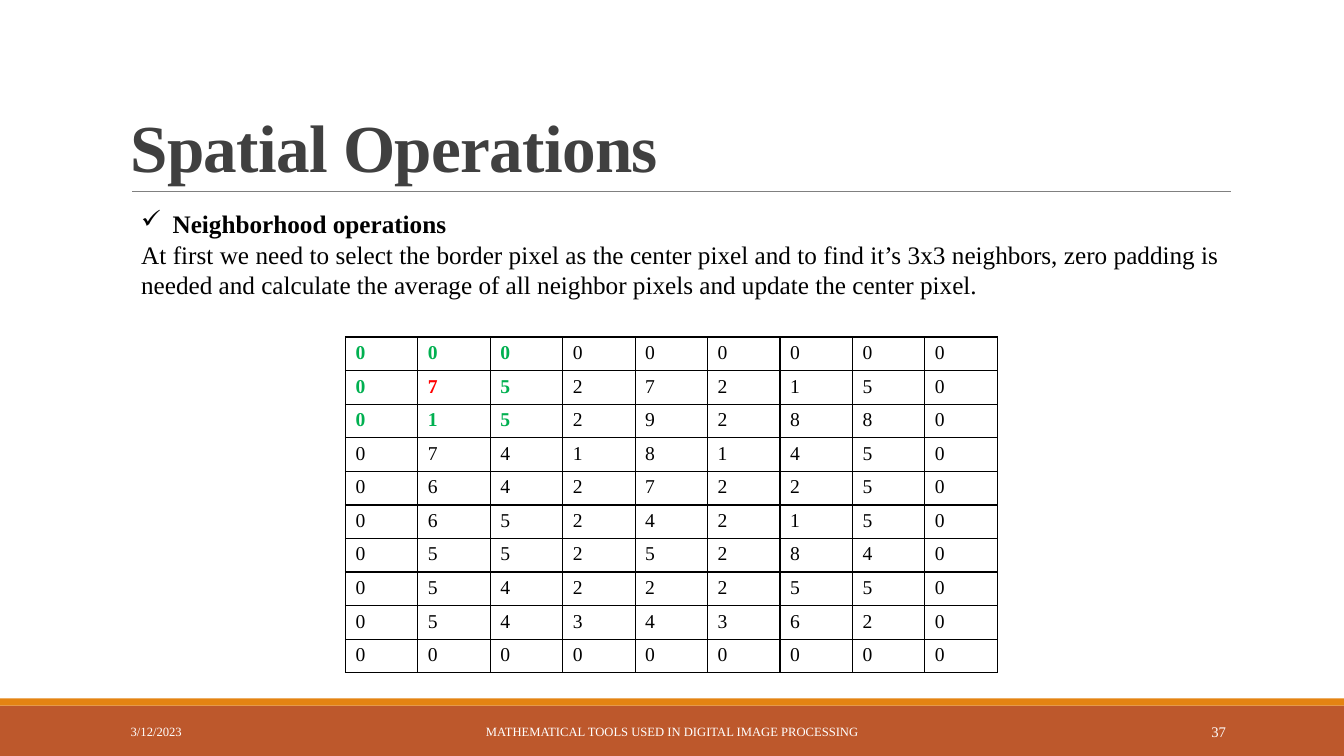
from dataclasses import dataclass

from lxml import etree
from pptx import Presentation
from pptx import util as u
from pptx.dml.color import RGBColor
from pptx.enum import shapes, text
from pptx.oxml import ns

PX = 9525  # EMU in one px, 96 px to the inch


@dataclass(frozen=True)
class Theme:
    font: str = "Times New Roman"
    paper: str = "FFFFFF"
    ink: str = "000000"
    heading: str = "404040"
    rule: str = "808080"
    band: str = "BD582C"
    stripe: str = "E48312"
    neighbor: str = "00B050"
    center: str = "FF0000"
    title_size: float = 48
    body_size: float = 18
    cell_size: float = 14
    footer_size: float = 9
    number_size: float = 10.5


THEME = Theme()

PIXELS = ["5271527"[::-1], "1529288", "7418145", "6427225",
          "6524215", "5525284", "5422255", "5434362"]
PIXELS[0] = "7527215"


def px(*lengths):
    return [u.Emu(length * PX) for length in lengths]


def add_child(parent, tag, **attributes):
    return etree.SubElement(parent, ns.qn(tag), attributes)


def add_span(para, words, size, color, **formats):
    span = para.add_run()
    span.text = words
    formats = {"name": THEME.font, "size": u.Pt(size), "bold": False, **formats}
    for name, value in formats.items():
        setattr(span.font, name, value)
    span.font.color.rgb = RGBColor.from_string(color)
    return span


def add_text_box(page, box, anchor):
    frame = page.shapes.add_textbox(*px(*box)).text_frame
    formats = {"word_wrap": True, "vertical_anchor": anchor,
               "auto_size": text.MSO_AUTO_SIZE.NONE}
    for name, value in formats.items():
        setattr(frame, name, value)
    return frame


def add_bar(page, box, color):
    bar = page.shapes.add_shape(shapes.MSO_SHAPE.RECTANGLE, *px(*box))
    bar.shadow.inherit = False
    bar.fill.solid()
    bar.fill.fore_color.rgb = RGBColor.from_string(color)
    bar.line.fill.background()


def add_title(page, box):
    left, top, width, height = box
    frame = add_text_box(page, box, text.MSO_ANCHOR.BOTTOM)
    para = frame.paragraphs[0]
    para.line_spacing = 0.85
    span = add_span(para, "Spatial Operations", THEME.title_size, THEME.heading, bold=True)
    span.font._element.set("spc", "-50")

    # Rule under the title
    y = top + height
    rule = page.shapes.add_connector(
        shapes.MSO_CONNECTOR.STRAIGHT, *px(left + 11, y, left + width + 1, y))
    rule.line.color.rgb = RGBColor.from_string(THEME.rule)
    rule.line.width = u.Pt(0.5)
    add_child(rule._element.spPr, "a:effectLst")


def add_body(page, box):
    frame = add_text_box(page, box, text.MSO_ANCHOR.TOP)

    # Checked heading
    para = frame.paragraphs[0]
    properties = para._p.get_or_add_pPr()
    indent = 30 * PX
    properties.set("marL", str(indent))
    properties.set("indent", str(-indent))
    add_child(properties, "a:buChar", char="✓")
    add_span(para, "Neighborhood operations", THEME.body_size, THEME.ink, bold=True)

    # Explanation
    para = frame.add_paragraph()
    para.alignment = text.PP_ALIGN.JUSTIFY
    add_span(para, "At first we need to select the border pixel as the center pixel "
             "and to find it’s 3x3 neighbors, zero padding is needed and calculate "
             "the average of all neighbor pixels and update the center pixel.",
             THEME.body_size, THEME.ink)


def add_cell_borders(cell):
    properties = cell._tc.get_or_add_tcPr()
    for index, side in enumerate(("a:lnL", "a:lnR", "a:lnT", "a:lnB")):
        line = etree.Element(ns.qn(side), {"w": str(u.Pt(1))})
        fill = add_child(line, "a:solidFill")
        add_child(fill, "a:srgbClr", val=THEME.ink)
        properties.insert(index, line)


def add_pixel_grid(page, box):
    # Zero padding around the pixel values
    edge = "0" * (len(PIXELS[0]) + 2)
    rows = [edge, *(f"0{row}0" for row in PIXELS), edge]
    left, top, width, height = box
    grid = page.shapes.add_table(len(rows), len(edge), *px(*box)).table
    for column in grid.columns:
        column.width = u.Emu(width * PX // len(edge))
    for row in grid.rows:
        row.height = u.Emu(height * PX // len(rows))

    # The 3x3 neighborhood stands out around its center
    for y, row in enumerate(rows):
        for x, value in enumerate(row):
            cell = grid.cell(y, x)
            cell.fill.solid()
            cell.fill.fore_color.rgb = RGBColor.from_string(THEME.paper)
            add_cell_borders(cell)
            near = x < 3 and y < 3
            color = THEME.neighbor if near else THEME.ink
            if (x, y) == (1, 1):
                color = THEME.center
            add_span(cell.text_frame.paragraphs[0], value, THEME.cell_size, color, bold=near)


def add_footer(page, box):
    left, top, width, height = box
    add_bar(page, box, THEME.band)
    add_bar(page, (left, top - 7, width, 7), THEME.stripe)
    align = text.PP_ALIGN
    for x, span_width, words, size, alignment in (
        (115, 259, "3/12/2023", THEME.footer_size, align.LEFT),
        (387, 506, "MATHEMATICAL TOOLS USED IN DIGITAL IMAGE PROCESSING",
         THEME.footer_size, align.CENTER),
        (1040, 137, "37", THEME.number_size, align.RIGHT),
    ):
        frame = add_text_box(page, (left + x, top + 6, span_width, 38),
                             text.MSO_ANCHOR.MIDDLE)
        para = frame.paragraphs[0]
        para.alignment = alignment
        add_span(para, words, size, THEME.paper)


def main():
    deck = Presentation()
    deck.slide_width, deck.slide_height = px(1280, 720)
    page = deck.slides.add_slide(deck.slide_layouts[6])
    add_footer(page, (0, 672, 1280, 48))
    add_title(page, (115, 30, 1056, 152))
    add_body(page, (125, 194, 1046, 97))
    add_pixel_grid(page, (329, 321, 621, 320))
    deck.save("out.pptx")


if __name__ == "__main__":
    main()
